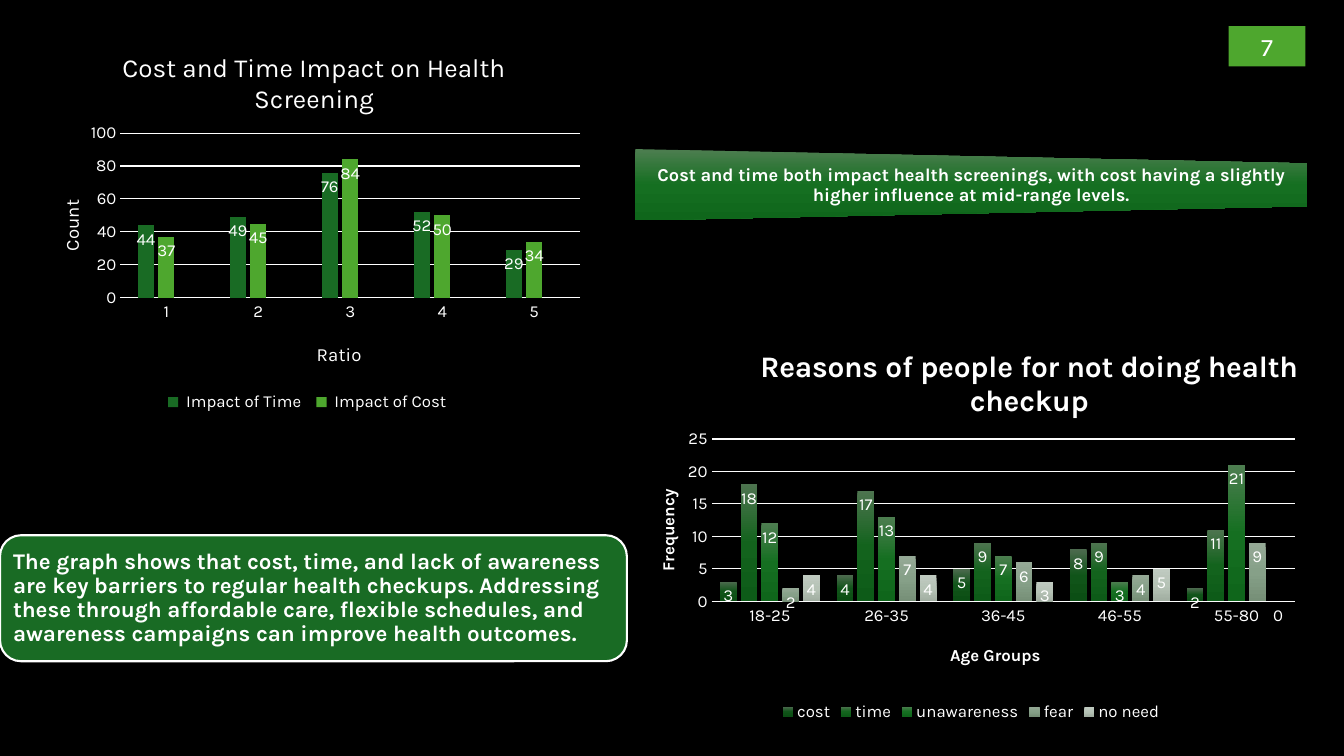
from dataclasses import dataclass
from typing import Any, Optional

from lxml.etree import SubElement as Sub
from pptx import Presentation as Deck
from pptx.chart.data import CategoryChartData as Data
from pptx.dml.color import RGBColor as Rgb
from pptx.enum.chart import XL_CHART_TYPE as Kind, XL_LABEL_POSITION as Spot
from pptx.enum.chart import XL_LEGEND_POSITION as Side, XL_TICK_MARK as Tick
from pptx.enum.shapes import MSO_SHAPE as Form
from pptx.enum.text import MSO_ANCHOR as Anchor, MSO_AUTO_SIZE as Auto, PP_ALIGN as Align
from pptx.oxml import parse_xml
from pptx.oxml.ns import nsdecls, qn
from pptx.util import Pt

Box = tuple[float, float, float, float]
Stops = tuple[str, str, str]


@dataclass(frozen=True)
class Theme:
    face: str = "Karla"
    back: str = "000000"
    text: str = "FFFFFF"
    grid: str = "FCFCFC"
    deep: str = "196B24"
    leaf: str = "4EA72E"
    blue: str = "156082"
    band: Stops = ("4D7E50", "156F21", "0F661B")
    small: float = 12
    note: float = 13
    axis: float = 13.3
    body: float = 16
    page: float = 18
    head: float = 18.6
    lead: float = 21.3


@dataclass(frozen=True)
class Row:
    name: str
    vals: tuple[Optional[int], ...]
    fill: str | Stops


@dataclass(frozen=True)
class Label:
    text: str
    size: float
    x: float  # place as a share of the chart
    y: float
    bold: bool = False


@dataclass(frozen=True)
class Graph:
    box: Box
    plot: Box  # inner plot area as shares of the chart
    cats: tuple[str, ...]
    rows: tuple[Row, ...]
    head: Label
    foot: Label
    side: Label
    line: str
    gap: int
    lap: int
    top: int
    step: int


T = Theme()

IMPACT = Graph(
    (19.5, 18.7, 403, 278.6), (0.165, 0.274, 0.815, 0.423), ("1", "2", "3", "4", "5"),
    (Row(" Impact of Time ", (44, 49, 76, 52, 29), T.deep),
     Row(" Impact of Cost ", (37, 45, 84, 50, 34), T.leaf),
     Row("Series 3", (None,) * 5, T.blue)),
    Label("Cost and Time Impact on Health Screening", T.head, 0.16, 0.05),
    Label("Ratio", T.axis, 0.507, 0.8), Label("Count", T.axis, 0.05, 0.436),
    T.text, 219, -27, 100, 20)

REASONS = Graph(
    (447.1, 227.5, 493.2, 290.9), (0.124, 0.296, 0.845, 0.399),
    ("18-25", "26-35", "36-45", "46-55", "55-80"),
    (Row("cost", (3, 4, 5, 8, 2), ("4C6A4E", "105419", "0B4E14")),
     Row("time", (18, 17, 9, 9, 11), ("4D744F", "13631D", "0D5B18")),
     Row("unawareness", (12, 13, 7, 3, 21), T.band),
     Row("fear", (2, 7, 6, 4, 9), ("95A996", "86A088", "768F77")),
     Row("no need", (4, 4, 3, 5, 0), ("BFCAC0", "B6C3B6", "A1AEA1"))),
    Label("Reasons of people for not doing health checkup", T.lead, 0.187, 0.055, True),
    Label("Age Groups", T.small, 0.465, 0.79, True),
    Label("Frequency", T.small, 0.04, 0.412, True),
    T.grid, 100, -24, 25, 5)


def apply(item: Any, form: dict[str, Any]) -> None:
    for key, val in form.items():
        setattr(item, key, val)


def style(font: Any, size: float, bold: bool = False) -> None:
    apply(font, {"name": T.face, "size": Pt(size), "bold": bold})
    font.color.rgb = Rgb.from_string(T.text)


def paint(item: Any, fill: str | Stops) -> None:
    """Fill a shape or a series with one colour or a downward gradient."""
    if isinstance(fill, str):
        item.fill.solid()
        item.fill.fore_color.rgb = Rgb.from_string(fill)
        return
    item.fill.gradient()
    grad = next(item.fill._xPr.iter(qn("a:gradFill")))
    stops = "".join(f'<a:gs pos="{n * 50000}"><a:srgbClr val="{c}"/></a:gs>'
                    for n, c in enumerate(fill))
    grad.getparent().replace(grad, parse_xml(
        f'<a:gradFill {nsdecls("a")} rotWithShape="0"><a:gsLst>{stops}</a:gsLst>'
        '<a:lin ang="5400000" scaled="0"/></a:gradFill>'))


def place(box: Box, full: bool) -> Any:
    """Build a chart layout; a label needs only its corner."""
    root = parse_xml(f'<c:layout {nsdecls("c")}/>')
    hand = Sub(root, qn("c:manualLayout"))
    pairs = [("xMode", "edge"), ("yMode", "edge"), *zip("xywh", box)]
    if full:
        pairs.insert(0, ("layoutTarget", "inner"))
    for tag, val in pairs if full else pairs[:4]:
        Sub(hand, qn(f"c:{tag}")).set("val", str(val))
    return root


def title(item: Any, label: Label) -> None:
    frame = item.text_frame
    frame.text = label.text
    style(frame.paragraphs[0].runs[0].font, label.size, label.bold)
    node = item._element
    for old in node.findall(qn("c:layout")):
        node.remove(old)
    node.find(qn("c:tx")).addnext(place((label.x, label.y, 0, 0), False))


def draw_graph(shapes: Any, g: Graph) -> None:
    data = Data()
    data.categories = g.cats
    for row in g.rows:
        data.add_series(row.name, row.vals)
    chart = shapes.add_chart(Kind.COLUMN_CLUSTERED, *map(Pt, g.box), data).chart
    style(chart.font, T.small)
    apply(chart, {"has_title": True, "has_legend": True})
    title(chart.chart_title, g.head)
    apply(chart.legend, {"position": Side.BOTTOM, "include_in_layout": False})
    style(chart.legend.font, T.small)

    # Axes
    cat, val = chart.category_axis, chart.value_axis
    apply(val, {"minimum_scale": 0, "maximum_scale": g.top, "major_unit": g.step,
                "has_major_gridlines": True})
    for axis, label in ((cat, g.foot), (val, g.side)):
        apply(axis, {"major_tick_mark": Tick.NONE, "minor_tick_mark": Tick.NONE})
        style(axis.tick_labels.font, T.small)
        title(axis.axis_title, label)
    val.format.line.fill.background()
    for line in (cat.format.line, val.major_gridlines.format.line):
        line.color.rgb = Rgb.from_string(g.line)
        line.width = Pt(0.75)

    # Columns
    plot = chart.plots[0]
    apply(plot, {"gap_width": g.gap, "overlap": g.lap, "vary_by_categories": False})
    for row, bars in zip(g.rows, plot.series):
        paint(bars.format, row.fill)
        apply(bars.data_labels, {"show_value": True, "position": Spot.INSIDE_END})
        style(bars.data_labels.font, T.small)
    area = chart._chartSpace.chart.plotArea
    for old in area.findall(qn("c:layout")):
        area.remove(old)
    area.insert(0, place(g.plot, True))

    # Legend leaves out series without values
    for n, row in enumerate(g.rows):
        if not any(row.vals):
            chart.legend._element.find(qn("c:legendPos")).addnext(parse_xml(
                f'<c:legendEntry {nsdecls("c")}><c:idx val="{n}"/>'
                '<c:delete val="1"/></c:legendEntry>'))


def draw_shape(shapes: Any, form: Form, box: Box, fill: str | Stops, edge: float = 0) -> Any:
    item = shapes.add_shape(form, *map(Pt, box))
    item.shadow.inherit = False
    paint(item, fill)
    if edge:
        item.line.color.rgb = Rgb.from_string(T.text)
        item.line.width = Pt(edge)
    else:
        item.line.fill.background()
    return item


def write(item: Any, text: str, size: float, align: Align, bold: bool = False,
          **form: Any) -> None:
    frame = item.text_frame
    apply(frame, {"word_wrap": True, "vertical_anchor": Anchor.MIDDLE, **form})
    para = frame.paragraphs[0]
    apply(para, {"text": text, "alignment": align, "line_spacing": 0.9 if bold else 1})
    style(para.runs[0].font, size, bold)


def pads(x: float, y: float) -> dict[str, Any]:
    return {"margin_left": Pt(x), "margin_right": Pt(x),
            "margin_top": Pt(y), "margin_bottom": Pt(y)}


def main() -> None:
    deck = Deck()
    apply(deck, {"slide_width": Pt(960), "slide_height": Pt(540)})
    slide = deck.slides.add_slide(deck.slide_layouts[6])
    paint(slide.background, T.back)
    shapes = slide.shapes

    # Charts
    for graph in (IMPACT, REASONS):
        draw_graph(shapes, graph)

    # Tapered banner
    group = shapes.add_group_shape().shapes
    draw_shape(group, Form.FLOWCHART_MANUAL_OPERATION, (668.4, -108, 51, 480),
               T.band).rotation = 270
    write(group.add_textbox(*map(Pt, (453.6, 117.4, 480, 30.2))),
          "Cost and time both impact health screenings, with cost having a slightly "
          "higher influence at mid-range levels.",
          T.note, Align.CENTER, True, **pads(6.5, 0))

    # Summary card
    group = shapes.add_group_shape().shapes
    draw_shape(group, Form.ROUNDED_RECTANGLE, (0, 382.3, 447.8, 90), T.deep, 1.5)
    write(group.add_textbox(*map(Pt, (4.3, 386.6, 438.5, 81.4))),
          "The graph shows that cost, time, and lack of awareness are key barriers to "
          "regular health checkups. Addressing these through affordable care, flexible "
          "schedules, and awareness campaigns can improve health outcomes.",
          T.body, Align.LEFT, True, **pads(5, 5))

    # Page number
    write(draw_shape(shapes, Form.RECTANGLE, (877.7, 18.7, 54.7, 28.8), T.leaf),
          "7", T.page, Align.CENTER, auto_size=Auto.SHAPE_TO_FIT_TEXT)
    deck.save("out.pptx")


if __name__ == "__main__":
    main()
